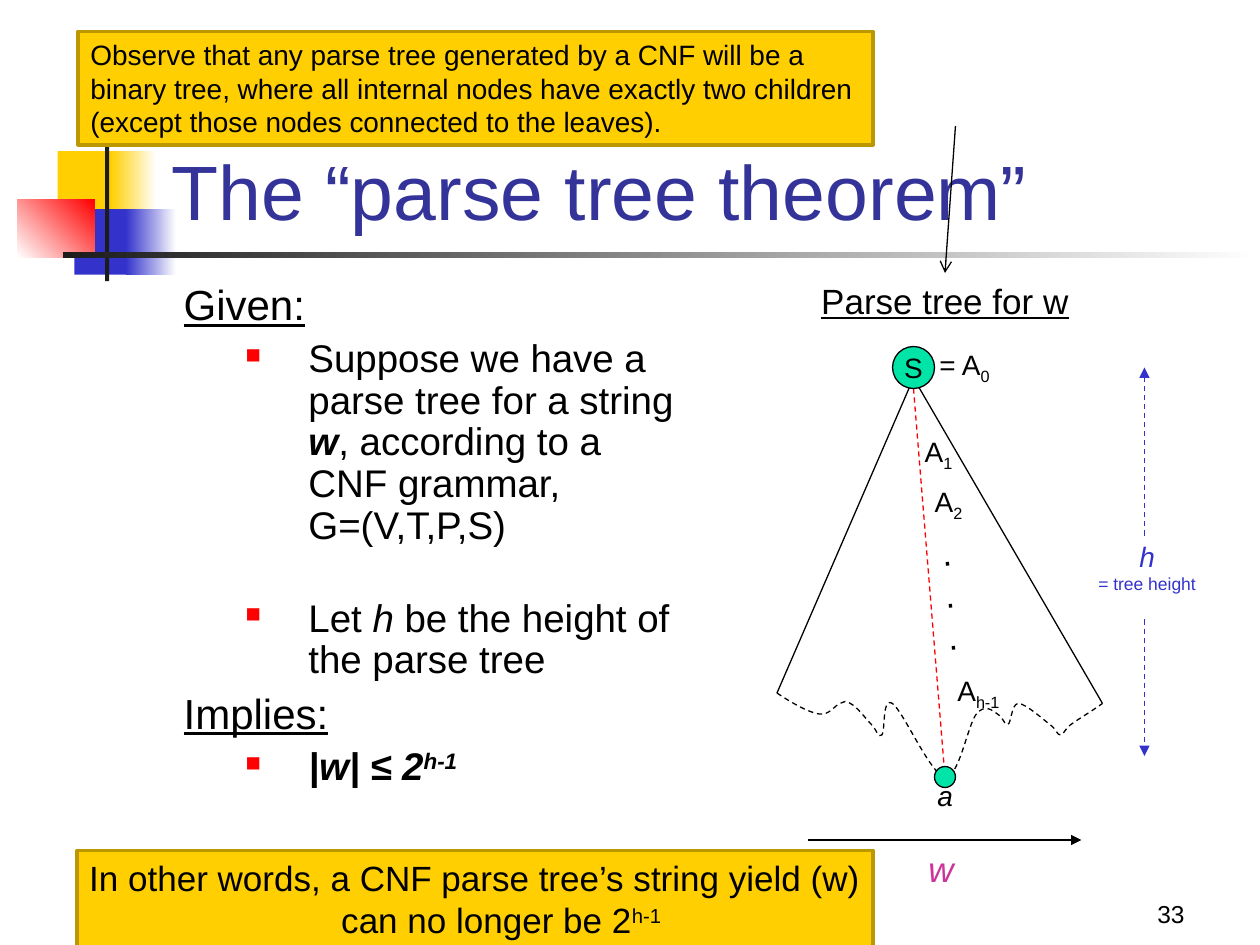
from dataclasses import dataclass, field
from typing import Optional

from lxml.etree import SubElement
from pptx import Presentation
from pptx.dml.color import RGBColor
from pptx.enum.dml import MSO_LINE
from pptx.enum.shapes import MSO_CONNECTOR, MSO_SHAPE
from pptx.enum.text import MSO_ANCHOR, MSO_AUTO_SIZE, PP_ALIGN
from pptx.oxml.ns import qn
from pptx.util import Pt

BLACK = RGBColor(0x00, 0x00, 0x00)
WHITE = RGBColor(0xFF, 0xFF, 0xFF)
RED = RGBColor(0xFF, 0x00, 0x00)
BLUE = RGBColor(0x33, 0x33, 0xCC)
NAVY = RGBColor(0x33, 0x33, 0x99)
YELLOW = RGBColor(0xFF, 0xCF, 0x01)
OCHRE = RGBColor(0xBC, 0x98, 0x00)
CHARCOAL = RGBColor(0x1C, 0x1C, 0x1C)
GREEN = RGBColor(0x00, 0xE4, 0xA8)
PINK = RGBColor(0xCC, 0x34, 0x99)


@dataclass
class Run:
    text: str
    size: float = 16
    color: RGBColor = BLACK
    raised: int = 0  # percent; negative for a subscript
    style: dict = field(default_factory=dict)


@dataclass
class Para:
    runs: list
    fmt: dict = field(default_factory=dict)
    margin: float = 0
    indent: float = 0
    bullet: bool = False


@dataclass
class Block:
    box: tuple  # left, top, width, height
    fill: RGBColor
    fade: Optional[RGBColor] = None
    angle: float = 0
    line: Optional[RGBColor] = None
    weight: float = 0.75
    kind: MSO_SHAPE = MSO_SHAPE.RECTANGLE


@dataclass
class Line:
    start: tuple
    end: tuple
    color: RGBColor = BLACK
    dashed: bool = False
    tail: str = ""


ITALIC = {"italic": True}
UNDERLINE = {"underline": True}
BOLD_ITALIC = {"bold": True, "italic": True}
CENTER = {"alignment": PP_ALIGN.CENTER}


def write(tf, paras: list, wrap: bool = False, anchor=MSO_ANCHOR.TOP) -> None:
    frame = {"word_wrap": wrap, "auto_size": MSO_AUTO_SIZE.NONE, "vertical_anchor": anchor,
             "margin_left": Pt(7.2), "margin_right": Pt(7.2),
             "margin_top": Pt(3.6), "margin_bottom": Pt(3.6)}
    for name, value in frame.items():
        setattr(tf, name, value)
    for i, para in enumerate(paras):
        p = tf.add_paragraph() if i else tf.paragraphs[0]
        for name, value in ({"alignment": PP_ALIGN.LEFT} | para.fmt).items():
            setattr(p, name, value)
        pPr = p._p.get_or_add_pPr()
        pPr.set("marL", str(Pt(para.margin)))
        pPr.set("indent", str(Pt(para.indent)))
        if para.bullet:
            SubElement(SubElement(pPr, qn("a:buClr")), qn("a:srgbClr"), val=str(RED))
            SubElement(pPr, qn("a:buSzPct"), val="55000")
            SubElement(pPr, qn("a:buChar"), char="■")
        for run in para.runs:
            r = p.add_run()
            r.text = run.text
            for name, value in ({"name": "Arial", "size": Pt(run.size)} | run.style).items():
                setattr(r.font, name, value)
            r.font.color.rgb = run.color
            if run.raised:
                r._r.get_or_add_rPr().set("baseline", str(run.raised * 1000))


def add_text(s, box: tuple, paras: list, **frame):
    sp = s.shapes.add_textbox(*map(Pt, box))
    write(sp.text_frame, paras, **frame)
    return sp


def add_block(s, block: Block):
    sp = s.shapes.add_shape(block.kind, *map(Pt, block.box))
    sp.shadow.inherit = False
    if block.fade is None:
        sp.fill.solid()
        sp.fill.fore_color.rgb = block.fill
    else:
        sp.fill.gradient()
        sp.fill.gradient_angle = block.angle
        for stop, color in zip(sp.fill.gradient_stops, (block.fill, block.fade)):
            stop.color.rgb = color
    if block.line is None:
        sp.line.fill.background()
    else:
        sp.line.color.rgb = block.line
        sp.line.width = Pt(block.weight)
    return sp


def add_line(s, line: Line) -> None:
    c = s.shapes.add_connector(MSO_CONNECTOR.STRAIGHT, *map(Pt, line.start + line.end))
    c.line.color.rgb = line.color
    c.line.width = Pt(0.75)
    if line.dashed:
        c.line.dash_style = MSO_LINE.DASH
    if line.tail:
        SubElement(c.line._get_or_add_ln(), qn("a:tailEnd"), type=line.tail)
    SubElement(c._element.spPr, qn("a:effectLst"))


def add_curve(s, points: list) -> None:
    """Dashed Bézier chain: a start point, then three points per curve."""
    points = [(Pt(x), Pt(y)) for x, y in points]
    builder = s.shapes.build_freeform(*points[0])
    builder.add_line_segments(points[1:], close=False)
    sp = builder.convert_to_shape()
    sp.shadow.inherit = False
    sp.fill.background()
    sp.line.color.rgb = BLACK
    sp.line.width = Pt(0.75)
    sp.line.dash_style = MSO_LINE.DASH
    segments = sp._element.xpath(".//a:lnTo")
    outline = segments[0].getparent()
    for i in range(0, len(segments), 3):
        curve = SubElement(outline, qn("a:cubicBezTo"))
        for segment in segments[i:i + 3]:
            curve.append(segment[0])
            outline.remove(segment)


DECOR = [
    Block((33, 86.4, 34.6, 37.4), YELLOW),
    Block((63.4, 86.4, 26, 37.4), YELLOW, WHITE),
    Block((42.5, 119.5, 33.1, 37.4), BLUE),
    Block((72, 119.5, 28.8, 37.4), BLUE, WHITE),
    Block((10, 113.8, 44, 33.1), WHITE, RED, 45),
    Block((60, 77.8, 2.4, 82.8), CHARCOAL),
    Block((36, 144, 684, 3.6), CHARCOAL, WHITE),
]
LINES = [
    Line((522, 216), (444, 396)),
    Line((522, 216), (630, 402)),
    Line((462, 480), (618, 480), tail="triangle"),
    Line((522, 222), (540, 444), RED, True),
    Line((654, 306), (654, 210), BLUE, True, "triangle"),
    Line((654, 354), (654, 432), BLUE, True, "triangle"),
    Line((546, 72), (540, 156), tail="arrow"),
]
LEAVES = [
    (444, 396), (453, 402), (462, 407), (468, 408), (474, 409), (477, 403), (480, 402),
    (483, 401), (483, 400), (486, 402), (490, 404), (495, 411), (498, 414),
    (501, 417), (502, 422), (504, 420), (506, 418), (504, 398), (510, 402),
    (516, 406), (532, 443), (540, 444), (548, 445), (553, 414), (558, 408),
    (563, 402), (567, 406), (570, 408), (573, 409), (574, 415), (576, 414),
    (578, 413), (578, 402), (582, 402), (586, 402), (596, 411), (600, 414),
    (604, 417), (604, 420), (606, 420), (608, 420), (608, 417), (612, 414),
    (616, 411), (623, 407), (630, 402),
]
# Variables along the red path: label, subscript, box
VARIABLES = [("= A", "0", (529.8, 195, 50, 29.5)), ("A", "1", (521.3, 244.8, 30.2, 29.5)),
             ("A", "2", (527, 273.6, 30.2, 29.5)), ("A", "h-1", (540, 381.6, 38.2, 29.5))]


def heading(text: str, **fmt) -> Para:
    return Para([Run(text, 24, style=UNDERLINE)], {"line_spacing": 0.9} | fmt, 46.8, -41.8)


def item(*runs: Run, before: float = 5.5) -> Para:
    return Para(list(runs), {"line_spacing": 0.9, "space_before": Pt(before)}, 76.3, -36, True)


def main() -> None:
    prs = Presentation()
    prs.slide_width, prs.slide_height = Pt(720), Pt(540)
    s = prs.slides.add_slide(prs.slide_layouts[5])

    # Corner decoration, title and page number
    for block in DECOR:
        add_block(s, block)
    title = s.shapes.title
    title.left, title.top, title.width, title.height = map(Pt, (90.7, 48.2, 613.4, 90))
    write(title.text_frame, [Para([Run("The “parse tree theorem”", 44, NAVY)])],
          wrap=True, anchor=MSO_ANCHOR.BOTTOM)
    s.shapes._spTree.append(title._element)
    add_text(s, (534.2, 498.2, 149.8, 36), [Para([Run("33", 14)], {"alignment": PP_ALIGN.RIGHT})],
             wrap=True, anchor=MSO_ANCHOR.BOTTOM)

    # Statement of the theorem
    add_text(s, (92.9, 159.1, 300.2, 324), [
        heading("Given:"),
        item(Run("Suppose we have a parse tree for a string ", 22), Run("w", 22, style=BOLD_ITALIC),
             Run(", according to a CNF grammar, G=(V,T,P,S)", 22)),
        item(Run("Let ", 22), Run("h", 22, style=ITALIC),
             Run(" be the height of the parse tree", 22), before=29.5),
        heading("Implies:", space_before=Pt(6)),
        item(Run("|w| ≤ 2", 22, style=BOLD_ITALIC), Run("h-1", 22, raised=30, style=BOLD_ITALIC)),
    ], wrap=True)

    # Parse tree
    add_curve(s, LEAVES)
    for line in LINES:
        add_line(s, line)
    root, _ = [add_block(s, Block(box, GREEN, line=BLACK, kind=MSO_SHAPE.OVAL))
               for box in ((510, 198, 24, 24), (534, 438, 12, 12))]
    write(root.text_frame, [Para([Run("S")], CENTER)], anchor=MSO_ANCHOR.MIDDLE)
    for label, sub, box in VARIABLES:
        add_text(s, box, [Para([Run(label), Run(sub, raised=-25)])])
    dots = add_text(s, (532.8, 300.2, 19.4, 79.2), [Para([Run(".", 20)]) for _ in range(3)])
    dots.rotation = -4.2
    add_text(s, (462.2, 156.2, 155.5, 31.7), [Para([Run("Parse tree for w", 20, style=UNDERLINE)])])
    add_text(s, (523.4, 481, 28.8, 31.7), [Para([Run("w", 20, PINK, style=ITALIC)])])
    add_text(s, (528.5, 441.4, 23, 26.6), [Para([Run("a", style=ITALIC)])])
    add_text(s, (620.6, 304.6, 69.8, 38.9), [Para([Run("h", 16, BLUE, style=ITALIC)], CENTER),
                                            Para([Run("= tree height", 10, BLUE)], CENTER)])

    # Yellow remarks
    remarks = [
        ((43.9, 486, 455, 55.4), [
            Para([Run("In other words, a CNF parse tree’s string yield (w)", 20)]),
            Para([Run("can no longer be 2", 20), Run("h-1", 20, raised=30)], margin=144)]),
        ((44.6, 18, 454.3, 64.8), [Para([Run(text)]) for text in (
            "Observe that any parse tree generated by a CNF will be a",
            "binary tree, where all internal nodes have exactly two children",
            "(except those nodes connected to the leaves).")]),
    ]
    for box, paras in remarks:
        write(add_block(s, Block(box, YELLOW, line=OCHRE, weight=2)).text_frame, paras)

    prs.save("out.pptx")


if __name__ == "__main__":
    main()
